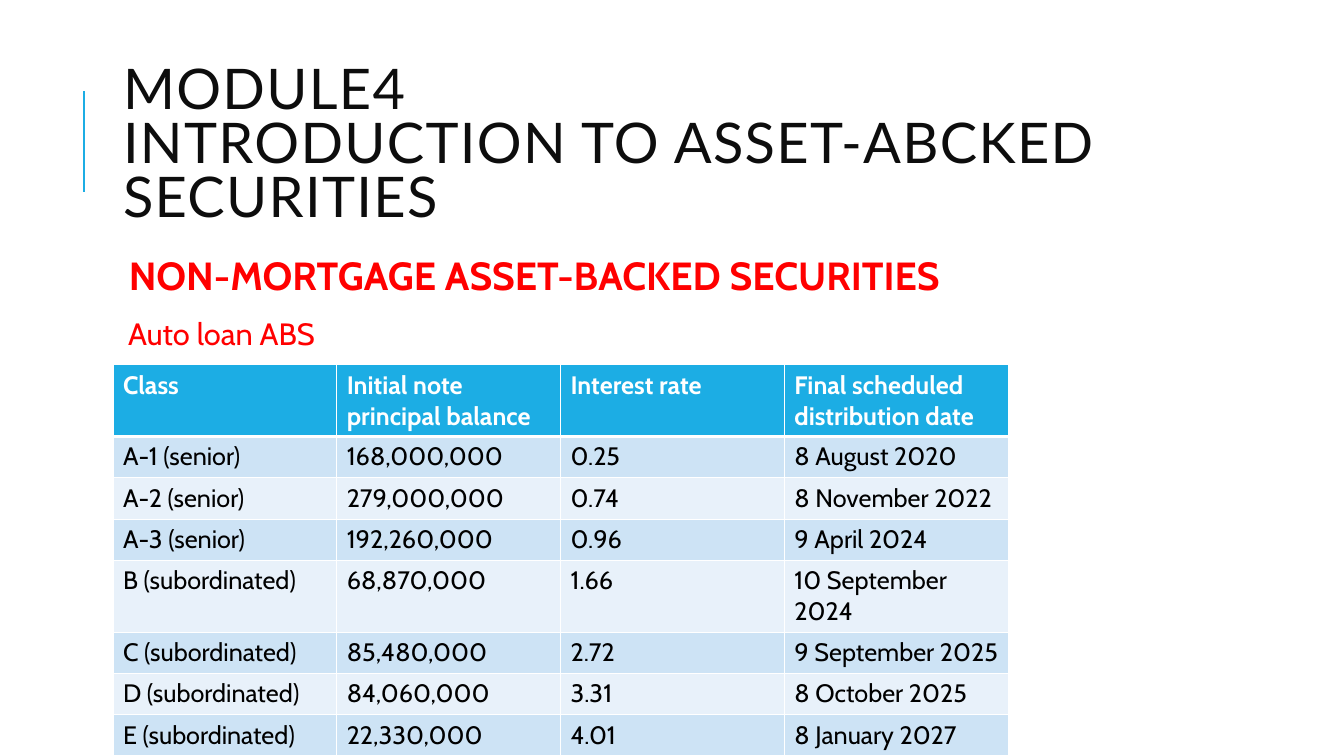
"""Build the slide on auto loan asset-backed securities."""
import pptx
import pptx.util
import pptx.dml.color
import pptx.enum.text
import pptx.enum.shapes
import pptx.oxml
import pptx.oxml.ns
from pptx.util import Inches, Pt

TITLE = "MODULE4\vINTRODUCTION TO ASSET-ABCKED SECURITIES"
HEADINGS = [("NON-MORTGAGE ASSET-BACKED SECURITIES", 28, True), ("Auto loan ABS", 22, False)]
NOTES = [
    ("Class", "Initial note principal balance", "Interest rate", "Final scheduled distribution date"),
    ("A-1 (senior)", "168,000,000", "0.25", "8 August 2020"),
    ("A-2 (senior)", "279,000,000", "0.74", "8 November 2022"),
    ("A-3 (senior)", "192,260,000", "0.96", "9 April 2024"),
    ("B (subordinated)", "68,870,000", "1.66", "10 September 2024"),
    ("C (subordinated)", "85,480,000", "2.72", "9 September 2025"),
    ("D (subordinated)", "84,060,000", "3.31", "8 October 2025"),
    ("E (subordinated)", "22,330,000", "4.01", "8 January 2027"),
]
ACCENT, WHITE, BLACK, INK, RED = "1CADE4", "FFFFFF", "000000", "0D0D0D", "FF0000"
BANDS = ["E8F1FA", "CDE3F5"]
LEFT, TEXT_WIDTH, COLUMN_WIDTH, ROW_HEIGHT = 1.12, 10.63, 2.22, 0.41


def rgb(color):
    return pptx.dml.color.RGBColor.from_string(color)


def style(para, font, size, color, bold=False):
    for span in para.runs:
        span.font.name, span.font.size, span.font.bold = font, Pt(size), bold
        span.font.color.rgb = rgb(color)


def place(box, left, top, width, height):
    box.left, box.top, box.width, box.height = map(Inches, (left, top, width, height))


def element(xml):
    return pptx.oxml.parse_xml(xml.replace(" ", f" {pptx.oxml.ns.nsdecls('a')} ", 1))


def add_border(cell, side, points):
    cell_format = cell._tc.get_or_add_tcPr()
    cell_format.append(element(
        f'<a:ln{side} w="{Pt(points)}"><a:solidFill><a:srgbClr val="{WHITE}"/></a:solidFill></a:ln{side}>'))


def add_title(page):
    box = page.shapes.title
    place(box, LEFT, 0.64, TEXT_WIDTH, 1.64)
    frame = box.text_frame
    frame.text = TITLE
    frame.auto_size = pptx.enum.text.MSO_AUTO_SIZE.NONE
    frame.vertical_anchor = pptx.enum.text.MSO_ANCHOR.MIDDLE
    para = frame.paragraphs[0]
    para.alignment = pptx.enum.text.PP_ALIGN.LEFT
    para.line_spacing = 0.8
    style(para, "Lato", 40, INK)
    for span in para.runs:
        span.font._element.set("spc", "100")


def add_headings(page):
    box = page.placeholders[1]
    place(box, LEFT, 2.5, TEXT_WIDTH, 4.4)
    frame = box.text_frame
    frame.text = "\n".join(text for text, size, bold in HEADINGS)
    frame.auto_size = pptx.enum.text.MSO_AUTO_SIZE.NONE
    frame.margin_left = frame.margin_right = frame.margin_top = frame.margin_bottom = Inches(0.05)
    for para, (text, size, bold) in zip(frame.paragraphs, HEADINGS):
        para.line_spacing, para.space_before, para.space_after = 0.9, Pt(12), Pt(2)
        style(para, "Cabin", size, RED, bold)
        layout = para._p.get_or_add_pPr()
        layout.set("marL", str(Inches(0.1)))
        layout.set("indent", str(-Inches(0.1)))
        layout.append(element(f'<a:buClr ><a:srgbClr val="{ACCENT}"/></a:buClr>'))
        layout.append(element('<a:buChar char=" "/>'))


def add_notes_table(page):
    rows, columns = len(NOTES), len(NOTES[0])
    table = page.shapes.add_table(
        rows, columns, Inches(LEFT), Inches(3.62),
        Inches(COLUMN_WIDTH * columns), Inches(ROW_HEIGHT * rows)).table
    for column in table.columns:
        column.width = Inches(COLUMN_WIDTH)
    for index, values in enumerate(NOTES):
        header = index == 0
        table.rows[index].height = Inches(ROW_HEIGHT)
        for cell, value in zip(table.rows[index].cells, values):
            cell.text = value
            style(cell.text_frame.paragraphs[0], "Cabin", 18, WHITE if header else BLACK, header)
            widths = {"L": 1, "R": 1, "T": 3 if index == 1 else 1, "B": 3 if header else 1}
            for side, points in widths.items():
                add_border(cell, side, points)
            cell.fill.solid()
            cell.fill.fore_color.rgb = rgb(ACCENT if header else BANDS[index % 2])


def add_title_rule(page):
    rule = page.shapes.add_connector(
        pptx.enum.shapes.MSO_CONNECTOR.STRAIGHT, Inches(0.83), Inches(1.9), Inches(0.83), Inches(0.9))
    rule.line.color.rgb = rgb(ACCENT)
    rule.line.width = Pt(1.5)
    rule._element.spPr.append(element("<a:effectLst />"))


deck = pptx.Presentation()
deck.slide_width, deck.slide_height = Inches(13.33), Inches(7.5)
page = deck.slides.add_slide(deck.slide_layouts[1])
add_title_rule(page)
add_title(page)
add_headings(page)
add_notes_table(page)
deck.save("out.pptx")
